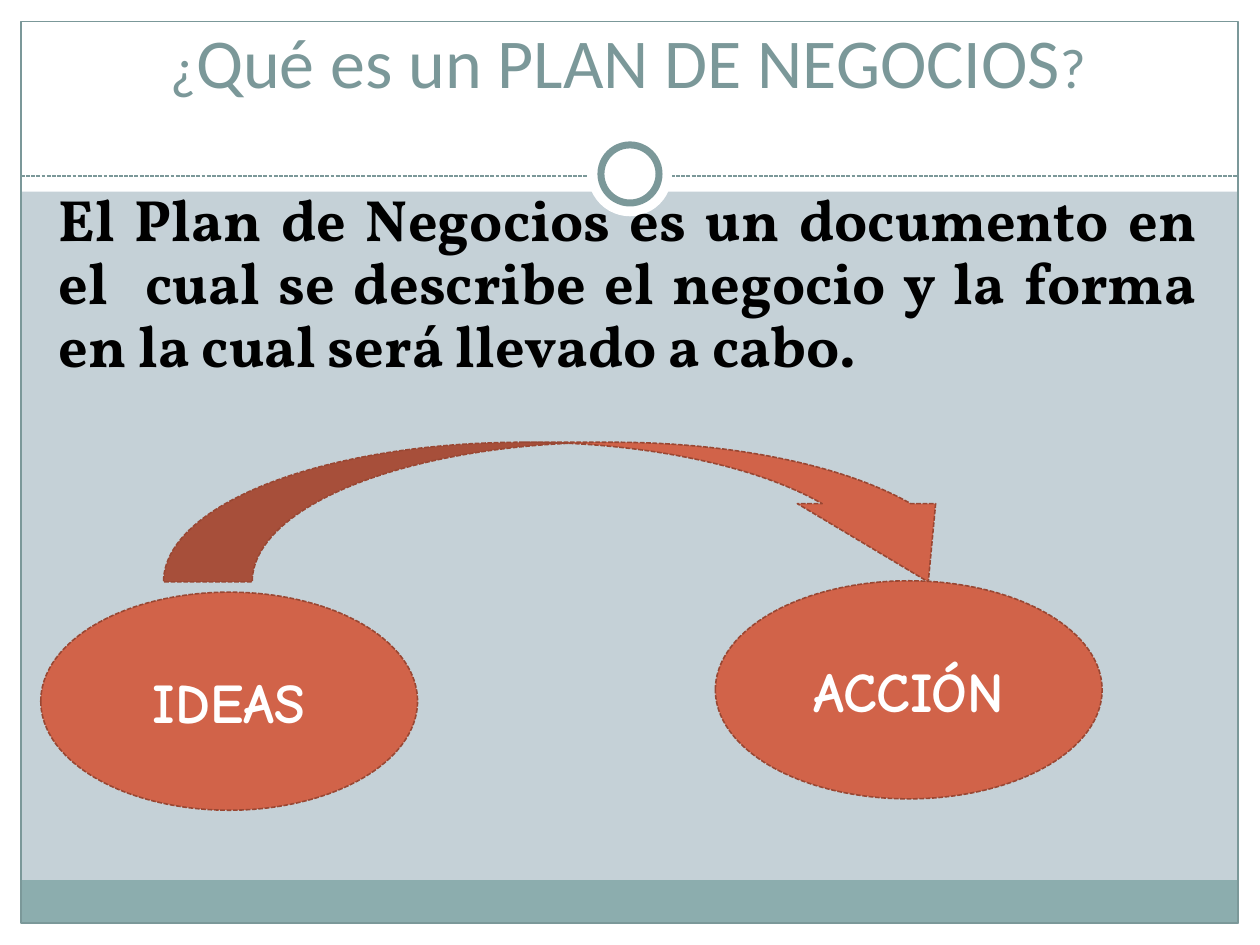
"""Build a slide that defines a business plan and shows ideas turning into action."""
from lxml import etree
from pptx import Presentation
from pptx.dml.color import RGBColor
from pptx.enum import dml, shapes, text
from pptx.oxml import ns
from pptx.util import Pt

WHITE, TEAL, BAND, BACK = "FFFFFF", "7B9899", "8CADAE", "C5D1D7"
RUST, RUST_LINE = "D16349", ("994733", 0.91)
RECT, OVAL = shapes.MSO_SHAPE.RECTANGLE, shapes.MSO_SHAPE.OVAL
W, H, EDGE = 720, 540, 12

TITLE = [("¿", 32), ("Qué es un PLAN DE NEGOCIOS", 40), ("?", 32)]
BODY = ("El Plan de Negocios es un documento en el  cual se describe el negocio "
        "y la forma en la cual será llevado a cabo.")
FRAME = [
    (RECT, (0, H - EDGE, W, EDGE), WHITE, None),
    (RECT, (0, 0, W, 109.5), WHITE, None),
    (RECT, (0, 0, EDGE, H), WHITE, None),
    (RECT, (W - EDGE, 0, EDGE, H), WHITE, None),
    (RECT, (11.8, 503, 695.5, 24.5), BAND, None),
    (RECT, (EDGE, 12.2, 695.5, 515.3), None, (TEAL, 0.75)),
]
RING = [
    (OVAL, (336, 75.6, 48, 48), WHITE, None),
    (OVAL, (343.4, 82.8, 33.2, 33.2), WHITE, (TEAL, 4)),
]
IDEAS = [("IDEAS", (23.3, 338.4, 215.3, 124.6)), ("ACCIÓN", (408.8, 331.9, 221, 124.6))]
ARROW_BOX, ARROW_SHAPE = (93.5, 252.7, 476.5, 79.8), (0.635, 0.99, 0.56)


def rgb(code):
    return RGBColor.from_string(code)


def add_shape(s, kind, box, fill, line, dash=False):
    sp = s.shapes.add_shape(kind, *map(Pt, box))
    sp.shadow.inherit = False
    if fill:
        sp.fill.solid()
        sp.fill.fore_color.rgb = rgb(fill)
    else:
        sp.fill.background()
    if line:
        sp.line.color.rgb, sp.line.width = rgb(line[0]), Pt(line[1])
        if dash:
            sp.line.dash_style = dml.MSO_LINE.SQUARE_DOT
    else:
        sp.line.fill.background()
    return sp


def add_run(p, words, size, font, color, bold=False):
    r = p.add_run()
    r.text = words
    r.font.size, r.font.name, r.font.bold = Pt(size), font, bold
    r.font.color.rgb = rgb(color)


def set_frame(tf, anchor, *insets):
    tf.word_wrap, tf.auto_size = True, text.MSO_AUTO_SIZE.NONE
    tf.vertical_anchor = anchor
    tf.margin_left, tf.margin_top, tf.margin_right, tf.margin_bottom = map(Pt, insets)


def add_arrow(s):
    sp = add_shape(s, shapes.MSO_SHAPE.CURVED_DOWN_ARROW, ARROW_BOX, RUST, RUST_LINE, dash=True)
    for i, value in enumerate(ARROW_SHAPE):
        sp.adjustments[i] = value


def add_rule(s, y):
    sp = s.shapes.add_connector(shapes.MSO_CONNECTOR.STRAIGHT, Pt(EDGE), Pt(y), Pt(W - EDGE), Pt(y))
    sp.line.color.rgb, sp.line.width = rgb(TEAL), Pt(0.75)
    sp.line.dash_style = dml.MSO_LINE.SQUARE_DOT
    etree.SubElement(sp._element.spPr, ns.qn("a:effectLst"))


def add_body(s):
    sp = s.shapes.add_textbox(Pt(33.6), Pt(105.8), Pt(652.3), Pt(147.6))
    set_frame(sp.text_frame, text.MSO_ANCHOR.TOP, 0, 3.6, 1.4, 3.6)
    p = sp.text_frame.paragraphs[0]
    p.alignment, p.line_spacing = text.PP_ALIGN.JUSTIFY, 0.9
    add_run(p, BODY, 33.3, "Vollkorn", "000000", True)


def add_idea(s, label, box):
    sp = add_shape(s, OVAL, box, RUST, RUST_LINE, dash=True)
    set_frame(sp.text_frame, text.MSO_ANCHOR.MIDDLE, 7.2, 3.6, 7.2, 3.6)
    p = sp.text_frame.paragraphs[0]
    p.alignment = text.PP_ALIGN.CENTER
    add_run(p, label, 32, "Comic Neue", WHITE, True)


def add_break(p, size, font):
    p.add_line_break()
    end = etree.SubElement(p._p, ns.qn("a:endParaRPr"))
    for props in (etree.SubElement(p._p[-2], ns.qn("a:rPr")), end):
        props.set("sz", str(size * 100))
        etree.SubElement(props, ns.qn("a:latin")).set("typeface", font)


def set_title(s):
    sp = s.shapes.title
    s.shapes._spTree.append(sp._element)
    sp.left, sp.top, sp.width, sp.height = map(Pt, (23, 41, 671.8, 59.8))
    set_frame(sp.text_frame, text.MSO_ANCHOR.BOTTOM, 7.2, 3.6, 7.2, 3.6)
    p = sp.text_frame.paragraphs[0]
    p.alignment = text.PP_ALIGN.CENTER
    for words, size in TITLE:
        add_run(p, words, size, "Calibri", TEAL)
    add_break(p, 32, "Calibri")


def main():
    prs = Presentation()
    prs.slide_width, prs.slide_height = Pt(W), Pt(H)
    s = prs.slides.add_slide(prs.slide_layouts[5])
    s.background.fill.solid()
    s.background.fill.fore_color.rgb = rgb(BACK)
    for part in FRAME:
        add_shape(s, *part)
    add_rule(s, 100.6)
    for part in RING:
        add_shape(s, *part)
    add_body(s)
    add_idea(s, *IDEAS[0])
    add_arrow(s)
    add_idea(s, *IDEAS[1])
    set_title(s)
    prs.save("out.pptx")


if __name__ == "__main__":
    main()
